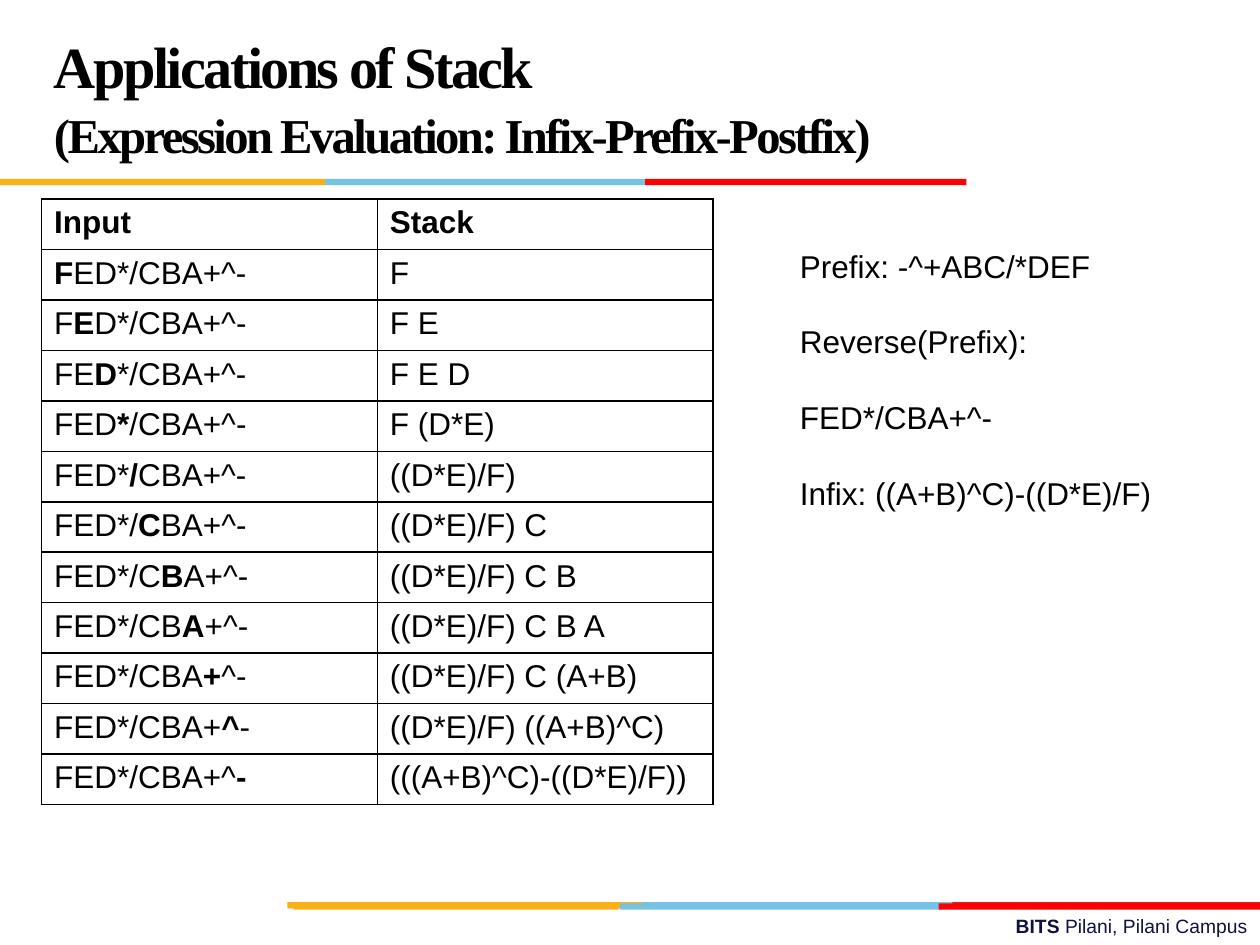
from dataclasses import dataclass
from typing import NamedTuple

from lxml.etree import SubElement
from pptx import Presentation
from pptx.dml.color import RGBColor
from pptx.enum.shapes import MSO_SHAPE
from pptx.enum.text import MSO_ANCHOR, PP_ALIGN
from pptx.oxml.ns import qn
from pptx.util import Inches, Pt


@dataclass(frozen=True)
class Theme:
    sans: str = "Arial"
    serif: str = "Times New Roman"
    black: str = "000000"
    navy: str = "101141"
    orange: str = "FCB017"
    blue: str = "76C2E5"
    red: str = "FF0000"
    dark_red: str = "E31C24"
    title: float = 33.3
    subtitle: float = 27.8
    body: float = 18
    footer: float = 11


class Bar(NamedTuple):
    left: float
    top: float
    width: float
    color: str


class Step(NamedTuple):
    read: int  # position of the symbol being read
    stack: str


T = Theme()
BAR_HEIGHT = 0.05
BARS = [
    Bar(5.06, 7.16, 2.55, T.blue),
    Bar(7.56, 7.16, 2.44, T.dark_red),
    Bar(2.28, 7.16, 2.82, T.orange),
    Bar(4.92, 7.17, 2.55, T.blue),
    Bar(2.33, 7.17, 2.58, T.orange),
    Bar(7.45, 7.17, 2.55, T.red),
    Bar(2.58, 1.42, 2.55, T.blue),
    Bar(0, 1.42, 2.58, T.orange),
    Bar(5.12, 1.42, 2.55, T.red),
]
EXPRESSION = "FED*/CBA+^-"
STACKS = [
    "F", "F E", "F E D", "F (D*E)", "((D*E)/F)", "((D*E)/F) C",
    "((D*E)/F) C B", "((D*E)/F) C B A", "((D*E)/F) C (A+B)",
    "((D*E)/F) ((A+B)^C)", "(((A+B)^C)-((D*E)/F))",
]
STEPS = [Step(i, stack) for i, stack in enumerate(STACKS)]
NOTES = ["Prefix: -^+ABC/*DEF", "Reverse(Prefix):", EXPRESSION,
         "Infix: ((A+B)^C)-((D*E)/F)"]


def add_run(p, text: str, size: float = T.body, bold: bool = False,
            font: str = T.sans, color: str = T.black):
    r = p.add_run()
    r.text = text
    r.font.name, r.font.size, r.font.bold = font, Pt(size), bold
    r.font.color.rgb = RGBColor.from_string(color)
    return r


def add_text_frame(s, left: float, top: float, width: float, height: float):
    tf = s.shapes.add_textbox(Inches(left), Inches(top),
                              Inches(width), Inches(height)).text_frame
    tf.word_wrap = True
    return tf


def next_paragraph(tf, index: int):
    return tf.add_paragraph() if index else tf.paragraphs[0]


def add_bar(s, bar: Bar) -> None:
    sp = s.shapes.add_shape(MSO_SHAPE.RECTANGLE, Inches(bar.left), Inches(bar.top),
                            Inches(bar.width), Inches(BAR_HEIGHT))
    sp.shadow.inherit = False
    sp.fill.solid()
    sp.fill.fore_color.rgb = RGBColor.from_string(bar.color)
    sp.line.fill.background()


def style_cell(cell) -> None:
    tc_pr = cell._tc.get_or_add_tcPr()
    for side in ("a:lnL", "a:lnR", "a:lnT", "a:lnB"):
        ln = SubElement(tc_pr, qn(side), w=str(Pt(1)))
        SubElement(SubElement(ln, qn("a:solidFill")), qn("a:srgbClr"), val=T.black)
    cell.fill.background()


def add_step_table(s, left: float, top: float, width: float, row_height: float) -> None:
    count = len(STEPS) + 1
    table = s.shapes.add_table(count, 2, Inches(left), Inches(top), Inches(width),
                               Inches(row_height * count)).table
    table.first_row = table.horz_banding = False
    for cell in table.iter_cells():
        style_cell(cell)
    for col, label in enumerate(("Input", "Stack")):
        add_run(table.cell(0, col).text_frame.paragraphs[0], label, bold=True)
    for row, step in enumerate(STEPS, start=1):
        p = table.cell(row, 0).text_frame.paragraphs[0]
        parts = (EXPRESSION[:step.read], EXPRESSION[step.read],
                 EXPRESSION[step.read + 1:])
        for i, part in enumerate(parts):
            if part:
                add_run(p, part, bold=i == 1)
        add_run(table.cell(row, 1).text_frame.paragraphs[0], step.stack)


def main() -> None:
    prs = Presentation()
    prs.slide_width, prs.slide_height = Inches(10), Inches(7.5)
    s = prs.slides.add_slide(prs.slide_layouts[6])

    # Footer and colour bars
    p = add_text_frame(s, 3.58, 7.21, 6.42, 0.29).paragraphs[0]
    p.alignment = PP_ALIGN.RIGHT
    add_run(p, "BITS ", T.footer, True, color=T.navy)
    add_run(p, "Pilani, Pilani Campus", T.footer, color=T.navy)
    for bar in BARS:
        add_bar(s, bar)

    # Evaluation steps
    add_step_table(s, 0.33, 1.58, 5.33, 0.4)

    # Title
    tf = add_text_frame(s, 0.33, 0.17, 6.92, 1.25)
    tf.vertical_anchor = MSO_ANCHOR.MIDDLE
    lines = [("Applications of Stack", T.title),
             ("(Expression Evaluation: Infix-Prefix-Postfix)", T.subtitle)]
    for i, (text, size) in enumerate(lines):
        p = next_paragraph(tf, i)
        p.line_spacing = Pt(36)
        r = add_run(p, text, size, True, T.serif)
        r.font._element.set("spc", "-150")

    # Prefix, reversed and infix forms
    tf = add_text_frame(s, 6.25, 1.61, 3.75, 2.43)
    for i, note in enumerate(NOTES):
        p = next_paragraph(tf, i)
        p.line_spacing = 2.0
        add_run(p, note)

    prs.save("out.pptx")


if __name__ == "__main__":
    main()
